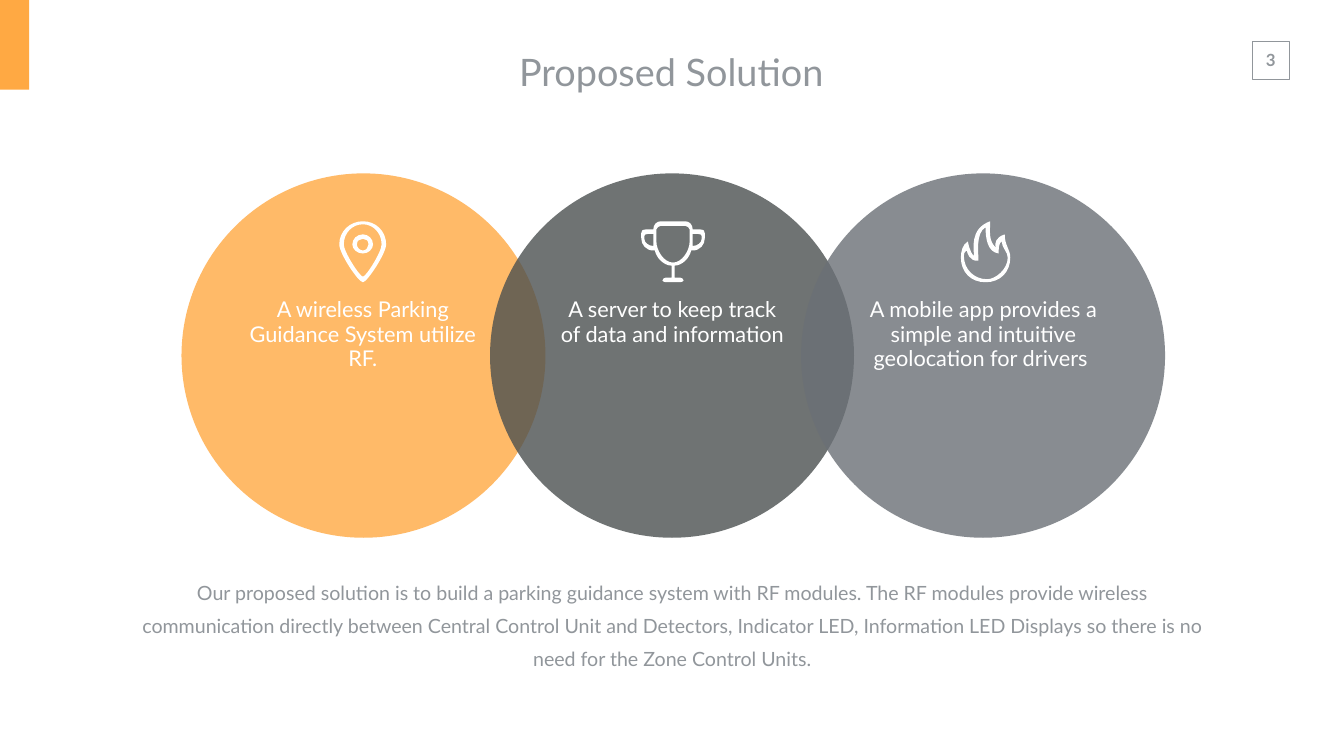
from lxml import etree
from pptx import Presentation
from pptx.dml.color import RGBColor
from pptx.enum import shapes, text
from pptx.oxml.ns import qn
from pptx.util import Pt

FONT, GREY, WHITE, ORANGE = "Lato", "91969B", "FFFFFF", "FFA943"

TITLE = "Proposed Solution"
NUMBER = "3"
SUMMARY = (
    "Our proposed solution is to build a parking guidance system with RF modules. "
    "The RF modules provide wireless communication directly between Central Control "
    "Unit and Detectors, Indicator LED, Information LED Displays so there is no need "
    "for the Zone Control Units."
)

# Icon outlines in 1/100 inch. Each contour is a start point followed by
# lines (x, y) and Bezier curves (two control points and an end point).
PIN = [
    [(47, 0), (21, 0, 0, 20, 0, 46), (0, 64, 38, 121, 47, 121),
     (55, 121, 93, 64, 93, 46), (93, 20, 73, 0, 47, 0)],
    [(47, 110), (41, 110, 9, 61, 9, 46), (9, 23, 26, 6, 47, 6),
     (67, 6, 84, 23, 84, 46), (84, 61, 53, 110, 47, 110)],
    [(47, 26), (35, 26, 26, 35, 26, 46), (26, 55, 35, 64, 47, 64),
     (58, 64, 67, 55, 67, 46), (67, 35, 58, 26, 47, 26)],
    [(47, 58), (41, 58, 35, 52, 35, 46), (35, 38, 41, 35, 47, 35),
     (53, 35, 58, 38, 58, 46), (58, 52, 53, 58, 47, 58)],
]
TROPHY = [
    [(105, 16), (105, 7, 99, 0, 90, 0), (42, 0), (33, 0, 27, 7, 27, 16),
     (0, 16, 3, 16, 3, 34), (3, 46, 12, 58, 27, 58), (30, 58),
     (33, 73, 48, 88, 63, 88), (63, 112), (51, 112),
     (48, 112, 45, 115, 45, 118), (45, 118, 48, 121, 51, 121), (81, 121),
     (84, 121, 87, 118, 87, 118), (87, 115, 84, 112, 81, 112), (69, 112),
     (69, 88), (84, 88, 99, 73, 102, 58), (105, 58),
     (120, 58, 129, 46, 129, 34), (129, 16, 132, 16, 105, 16)],
    [(27, 49), (18, 49, 9, 43, 9, 34), (9, 25, 9, 25, 27, 25), (27, 49)],
    [(99, 40), (99, 58, 84, 82, 66, 82), (48, 82, 33, 58, 33, 40),
     (33, 16), (33, 13, 39, 9, 42, 9), (90, 9), (93, 9, 99, 13, 99, 16),
     (99, 40)],
    [(105, 49), (105, 25), (123, 25, 123, 25, 123, 34),
     (123, 43, 114, 49, 105, 49)],
]
FLAME = [
    [(87, 26), (69, 32, 67, 43, 69, 52), (55, 38, 58, 23, 58, 0),
     (17, 15, 26, 55, 26, 69), (17, 61, 14, 40, 14, 40), (3, 46, 0, 61, 0, 72),
     (0, 101, 20, 121, 49, 121), (78, 121, 98, 101, 98, 72),
     (98, 55, 87, 49, 87, 26)],
    [(52, 115), (26, 115, 6, 95, 6, 69), (6, 66, 6, 61, 12, 58),
     (12, 61, 17, 81, 35, 78), (35, 64, 29, 23, 49, 12),
     (49, 32, 52, 61, 75, 64), (75, 55, 75, 43, 81, 40),
     (81, 52, 93, 61, 93, 72), (93, 95, 69, 115, 52, 115)],
]

# circle left, circle colour, icon, icon left, text left, text, text height
PARTS = [
    (259.2, ORANGE, PIN, 484.56, 339.84,
     "A wireless Parking Guidance System utilize RF.", 122.4),
    (699.84, "4B5050", TROPHY, 913.68, 781.92,
     "A server to keep track of data and information", 122.4),
    (1144.08, "6B7076", FLAME, 1372.32, 1226.16,
     "A mobile app provides a simple and intuitive geolocation for drivers ", 193.68),
]
CIRCLE_TOP, CIRCLE = 247.68, (519.84, 520.56)
ICON_TOP, UNIT = 316.08, Pt(0.72)
TEXT_TOP, TEXT_WIDTH = 418, 356.4

deck = Presentation()
deck.slide_width, deck.slide_height = Pt(1919.52), Pt(1080)
slide = deck.slides.add_slide(deck.slide_layouts[6])


def color(code):
    return RGBColor.from_string(code)


def paint(shape, fill=None, line=None, alpha=None):
    shape.shadow.inherit = False
    if fill:
        shape.fill.solid()
        shape.fill.fore_color.rgb = color(fill)
    else:
        shape.fill.background()
    if line:
        shape.line.color.rgb = color(line)
        shape.line.width = Pt(1)
    else:
        shape.line.fill.background()
    if alpha:
        tint = shape.fill._xPr.find(".//" + qn("a:srgbClr"))
        etree.SubElement(tint, qn("a:alpha")).set("val", str(alpha * 1000))


def draw(kind, x, y, w, h, **look):
    paint(slide.shapes.add_shape(kind, Pt(x), Pt(y), Pt(w), Pt(h)), **look)


def write(words, x, y, w, h, size, ink=GREY, bold=False, pad=(7.2, 3.6),
          space=None, wrap=True, anchor=text.MSO_ANCHOR.TOP):
    frame = slide.shapes.add_textbox(Pt(x), Pt(y), Pt(w), Pt(h)).text_frame
    frame.word_wrap = wrap
    frame.auto_size = text.MSO_AUTO_SIZE.SHAPE_TO_FIT_TEXT
    frame.vertical_anchor = anchor
    frame.margin_left = frame.margin_right = Pt(pad[0])
    frame.margin_top = frame.margin_bottom = Pt(pad[1])
    para = frame.paragraphs[0]
    para.alignment = text.PP_ALIGN.CENTER
    para.line_spacing = space
    run = para.add_run()
    run.text = words
    font = run.font
    font.name, font.size, font.bold = FONT, Pt(size), bold
    font.color.rgb = color(ink)


def step(path, tag, coords=()):
    """Add one drawing command to a path."""
    node = etree.SubElement(path, qn("a:" + tag))
    for x, y in zip(coords[::2], coords[1::2]):
        point = etree.SubElement(node, qn("a:pt"))
        point.set("x", str(x * UNIT))
        point.set("y", str(y * UNIT))


def icon(contours, x, y):
    """Build a freeform over the icon's bounds, then give it its curves."""
    flat = [piece for contour in contours for piece in contour]
    wide = max(v for piece in flat for v in piece[::2])
    high = max(v for piece in flat for v in piece[1::2])
    pen = slide.shapes.build_freeform(0, 0, scale=UNIT)
    pen.add_line_segments([(wide, 0), (wide, high)], close=True)
    shape = pen.convert_to_shape(Pt(x), Pt(y))
    path = shape._element.find(".//" + qn("a:path"))
    for node in list(path):
        path.remove(node)
    path.set("w", str(wide * UNIT))
    path.set("h", str(high * UNIT))
    for start, *rest in contours:
        step(path, "moveTo", start)
        for piece in rest:
            step(path, "lnTo" if len(piece) == 2 else "cubicBezTo", piece)
        step(path, "close")
    paint(shape, fill=WHITE)


box, oval = shapes.MSO_SHAPE.RECTANGLE, shapes.MSO_SHAPE.OVAL
write(NUMBER, 1785.6, 64.3, 58.32, 43.92, 24, bold=True, pad=(14.4, 7.2), wrap=False)
draw(box, 1788.1, 59.04, 54, 54, line=GREY)
draw(box, 0, 0, 41.76, 128.16, fill=ORANGE)
write(SUMMARY, 191, 813.3, 1537.92, 147.6, 28, space=1.4)

for left, fill, *_ in PARTS:
    draw(oval, left, CIRCLE_TOP, *CIRCLE, fill=fill, alpha=80)
for *_, left, words, high in PARTS:
    write(words, left, TEXT_TOP, TEXT_WIDTH, high, 31,
          ink=WHITE, pad=(14.4, 7.2), space=0.95)
for _, _, outline, left, *_ in PARTS:
    icon(outline, left, ICON_TOP)

write(TITLE, 586.8, 59.76, 743.76, 84.96, 54, pad=(19.44, 9.36),
      anchor=text.MSO_ANCHOR.MIDDLE)

deck.save("out.pptx")
